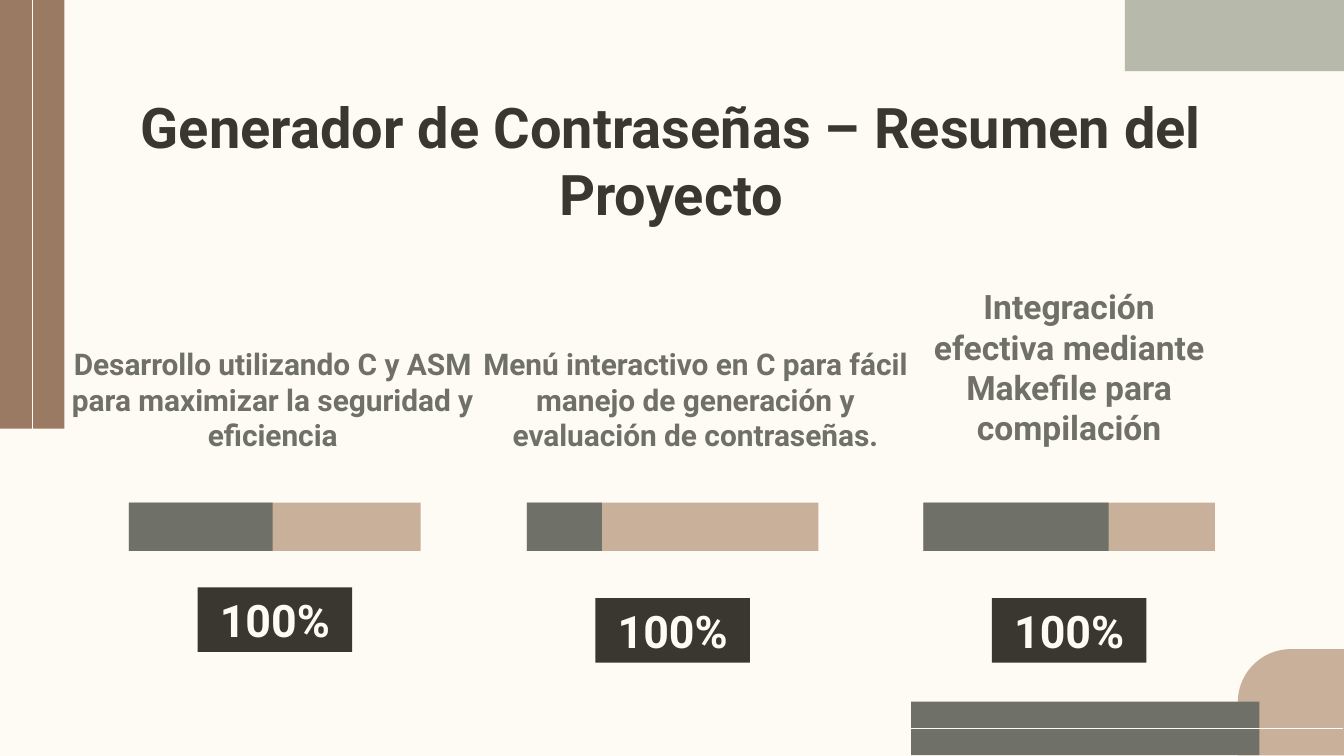
from pptx import Presentation
from pptx.dml.color import RGBColor
from pptx.enum.shapes import MSO_CONNECTOR, MSO_SHAPE
from pptx.enum.text import MSO_ANCHOR, MSO_AUTO_SIZE, PP_ALIGN
from pptx.oxml.ns import qn
from pptx.util import Emu, Pt
from lxml import etree

PX = 9144  # EMU in one px, 100 px to the inch
WIDE, HIGH = Emu(9144000), Emu(5143500)
FONT = "Roboto"
CREAM = RGBColor(0xFE, 0xFA, 0xF4)
TAN = RGBColor(0xC9, 0xB0, 0x9A)
BROWN = RGBColor(0x9A, 0x7A, 0x63)
SAGE = RGBColor(0xB7, 0xB9, 0xAB)
GREY = RGBColor(0x6F, 0x70, 0x67)
DARK = RGBColor(0x3A, 0x37, 0x30)
RECT, ROUND = MSO_SHAPE.RECTANGLE, MSO_SHAPE.ROUND_1_RECTANGLE
STRAIGHT = MSO_CONNECTOR.STRAIGHT
TOP, MIDDLE, BOTTOM = MSO_ANCHOR.TOP, MSO_ANCHOR.MIDDLE, MSO_ANCHOR.BOTTOM
CENTER = PP_ALIGN.CENTER
FIXED = MSO_AUTO_SIZE.NONE

INSET = 10
BAR_TOP, BAR_WIDE, BAR_HIGH = 374, 217, 36
BADGE_WIDE, BADGE_HIGH = 115, 48

# bar left, filled part, badge top, text box, text size, text
STEPS = [
    (96, 107, 437, (35, 299, 336, 48), 16,
     "Desarrollo utilizando C y ASM para maximizar la seguridad y eficiencia"),
    (392, 56, 445, (339, 299, 357, 48), 16,
     "Menú interactivo en C para fácil manejo de generación y "
     "evaluación de contraseñas."),
    (687, 138, 445, (676, 295, 239, 48), 18,
     "Integración efectiva mediante Makefile para compilación"),
]


def scale(box):
    return [Emu(n * PX) for n in box]


class Painter:
    """Holds the style and the current slide."""

    def __init__(self, slide):
        self.shapes = slide.shapes
        fill = slide.background.fill
        fill.solid()
        fill.fore_color.rgb = CREAM

    def block(self, box, color, kind=RECT):
        shape = self.shapes.add_shape(kind, *scale(box))
        shape.shadow.inherit = False
        shape.fill.solid()
        shape.fill.fore_color.rgb = color
        shape.line.fill.background()
        return shape

    def corner(self, box, color):
        """Draw a block whose top left corner is round."""
        shape = self.block(box, color, ROUND)
        shape.adjustments[0] = 0.5
        shape._element.spPr.find(qn("a:xfrm")).set("flipH", "1")

    def rule(self, ends):
        line = self.shapes.add_connector(STRAIGHT, *scale(ends))
        line.line.color.rgb = CREAM
        line.line.width = Pt(0.75)
        etree.SubElement(line._element.spPr, qn("a:effectLst"))

    def letter(self, shape, text, size, color, anchor):
        """Put styled, centred text into a shape."""
        frame = shape.text_frame
        frame.text = text
        frame.word_wrap = True
        frame.auto_size = FIXED
        frame.vertical_anchor = anchor
        frame.margin_left = frame.margin_right = Emu(INSET * PX)
        frame.margin_top = frame.margin_bottom = Emu(INSET * PX)
        line = frame.paragraphs[0]
        line.alignment = CENTER
        font = line.runs[0].font
        font.name, font.size, font.bold = FONT, Pt(size), True
        font.color.rgb = color

    def label(self, box, text, size, color, anchor):
        shape = self.shapes.add_textbox(*scale(box))
        self.letter(shape, text, size, color, anchor)

    def badge(self, box, text):
        self.letter(self.block(box, DARK), text, 24, CREAM, MIDDLE)

    def bar(self, left, part):
        self.block((left, BAR_TOP, BAR_WIDE, BAR_HIGH), TAN)
        self.block((left, BAR_TOP, part, BAR_HIGH), GREY)


def main():
    deck = Presentation()
    deck.slide_width, deck.slide_height = WIDE, HIGH
    paint = Painter(deck.slides.add_slide(deck.slide_layouts[6]))

    paint.corner((921, 483, 79, 79), TAN)
    paint.block((0, 0, 48, 319), BROWN)
    paint.block((837, 0, 163, 53), SAGE)
    paint.rule((24, 0, 24, 319))
    paint.block((678, 522, 259, 40), GREY)
    paint.rule((678, 542, 999, 542))

    paint.label((39, 59, 921, 63), "Generador de Contraseñas – Resumen del Proyecto",
                30, DARK, TOP)
    for left, part, top, box, size, text in STEPS:
        paint.label(box, text, size, GREY, BOTTOM)
        inset = (BAR_WIDE - BADGE_WIDE) // 2
        paint.badge((left + inset, top, BADGE_WIDE, BADGE_HIGH), "100%")
        paint.bar(left, part)

    deck.save("out.pptx")


if __name__ == "__main__":
    main()
